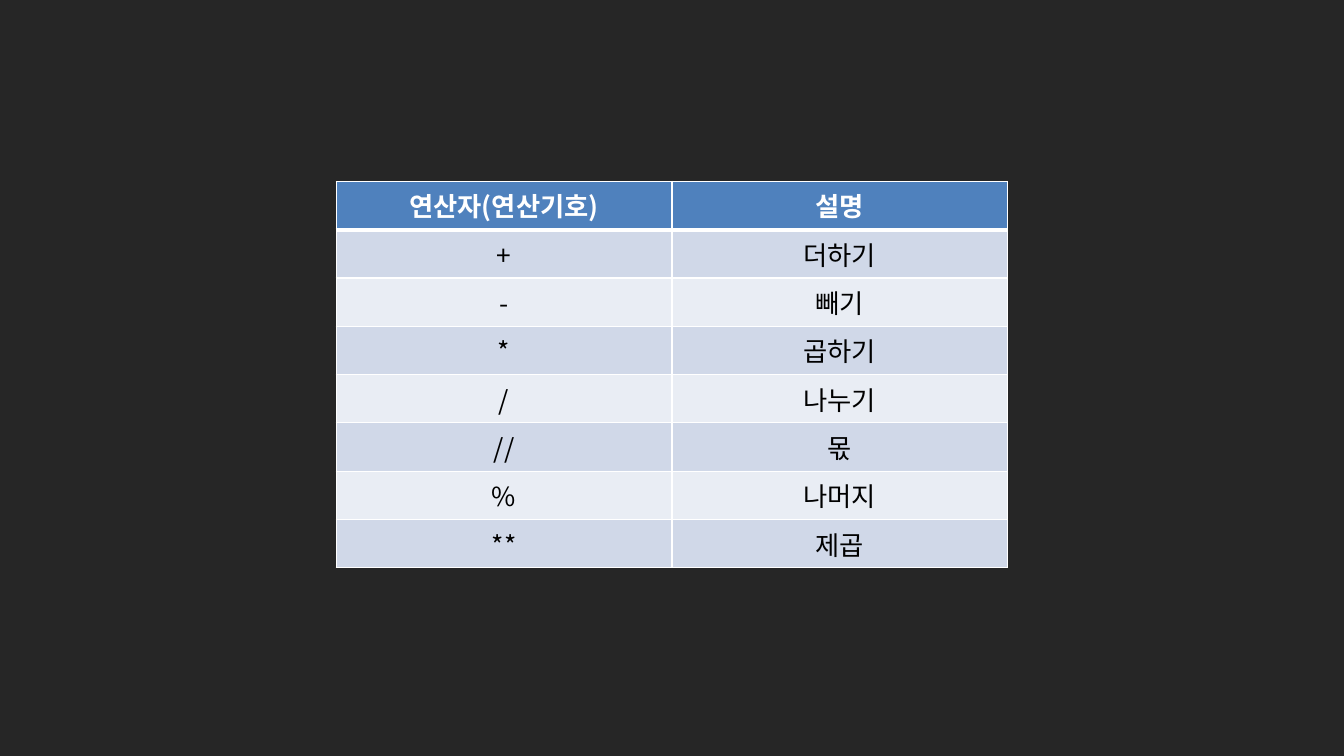
from lxml.etree import SubElement
from pptx import Presentation
from pptx.dml.color import RGBColor
from pptx.enum.text import MSO_ANCHOR, PP_ALIGN
from pptx.oxml.ns import qn
from pptx.util import Cm, Pt

FONT = "Noto Sans CJK KR"
OPERATORS = [
    ("연산자(연산기호)", "설명"),
    ("+", "더하기"),
    ("-", "빼기"),
    ("*", "곱하기"),
    ("/", "나누기"),
    ("//", "몫"),
    ("%", "나머지"),
    ("**", "제곱"),
]


def color(value):
    """Turn a hex string into a colour."""
    return RGBColor.from_string(value)


def set_fill(fill, value):
    """Make a fill solid in the given colour."""
    fill.solid()
    fill.fore_color.rgb = color(value)


def add_borders(cell, top, bottom):
    """Give a cell white borders, with widths in points for top and bottom."""
    properties = cell._tc.get_or_add_tcPr()
    for side, width in (("L", 1), ("R", 1), ("T", top), ("B", bottom)):
        line = SubElement(properties, qn(f"a:ln{side}"), w=str(Pt(width)))
        solid = SubElement(line, qn("a:solidFill"))
        SubElement(solid, qn("a:srgbClr"), val="FFFFFF")


def write_cell(cell, text, text_color, bold):
    """Write centred text into a cell."""
    cell.text = text
    cell.vertical_anchor = MSO_ANCHOR.TOP
    paragraph = cell.text_frame.paragraphs[0]
    paragraph.alignment = PP_ALIGN.CENTER
    font = paragraph.font
    font.size = Pt(18.8)
    font.bold = bold
    font.color.rgb = color(text_color)
    font.name = FONT
    SubElement(font._element, qn("a:ea"), typeface=FONT)


def add_operator_table(slide, left, top, width, height):
    """Place the table of arithmetic operators in the given box."""
    table = slide.shapes.add_table(
        len(OPERATORS), len(OPERATORS[0]), left, top, width, height
    ).table
    for row, entries in enumerate(OPERATORS):
        header = row == 0
        band = "4F81BD" if header else ("E9EDF4", "D0D8E8")[row % 2]
        for column, text in enumerate(entries):
            cell = table.cell(row, column)
            add_borders(cell, top=3 if row == 1 else 1, bottom=3 if header else 1)
            set_fill(cell.fill, band)
            write_cell(cell, text, "FFFFFF" if header else "000000", header)


def main():
    """Build the slide and save it."""
    presentation = Presentation()
    presentation.slide_width = Cm(33.87)
    presentation.slide_height = Cm(19.05)
    slide = presentation.slides.add_slide(presentation.slide_layouts[6])
    set_fill(slide.background.fill, "262626")
    add_operator_table(slide, Cm(8.47), Cm(4.57), Cm(16.93), Cm(9.74))
    presentation.save("out.pptx")


if __name__ == "__main__":
    main()
